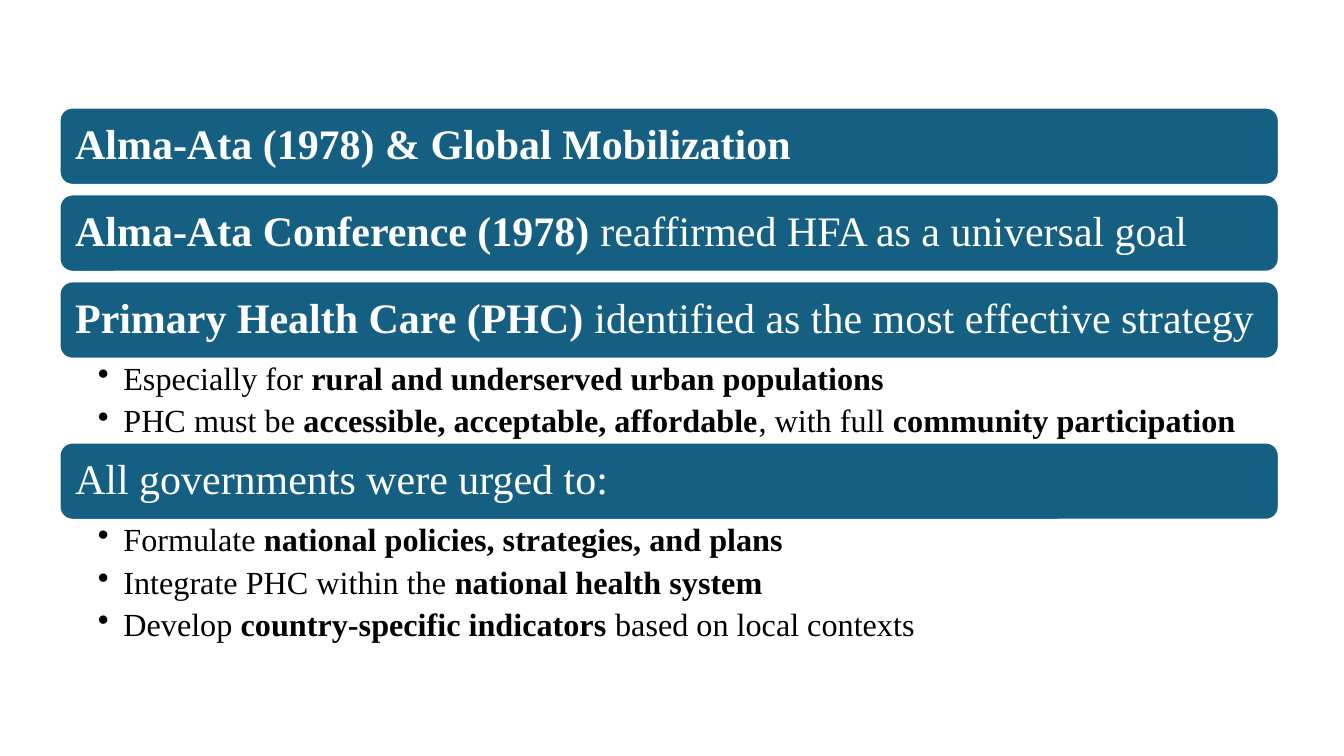
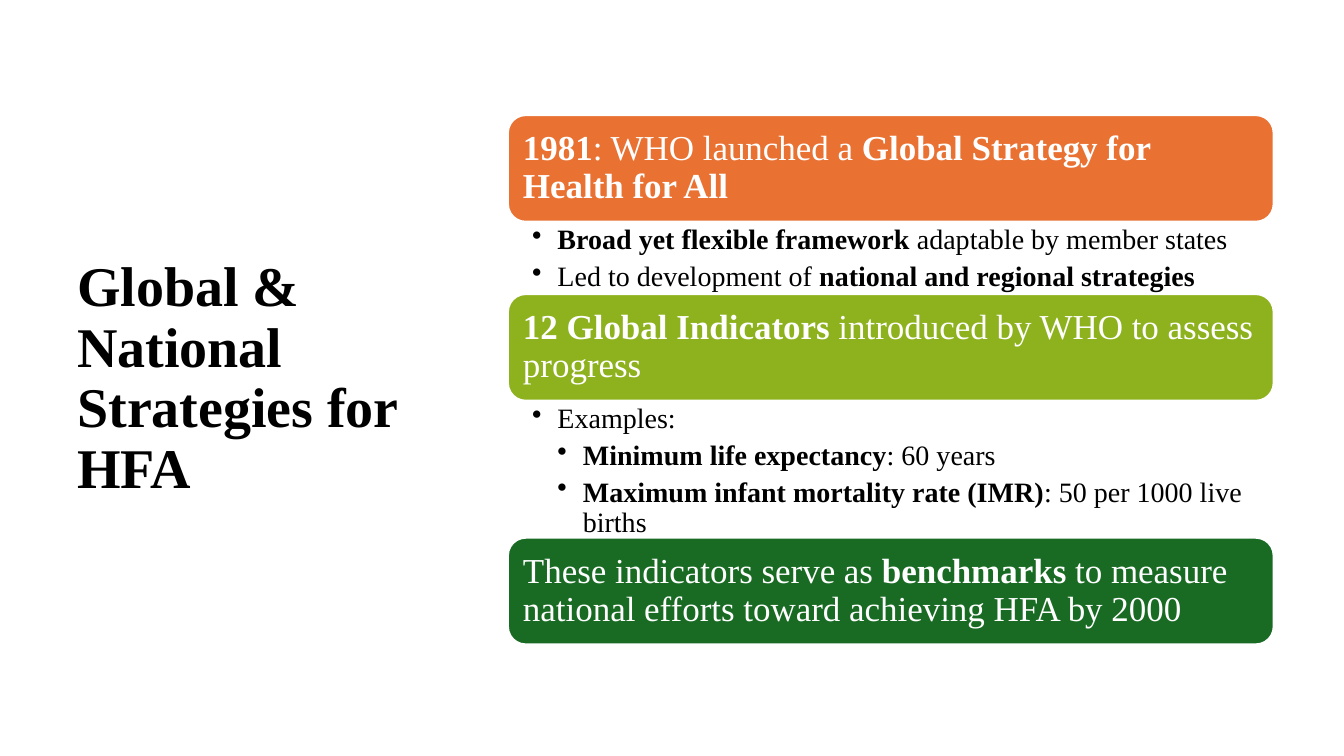
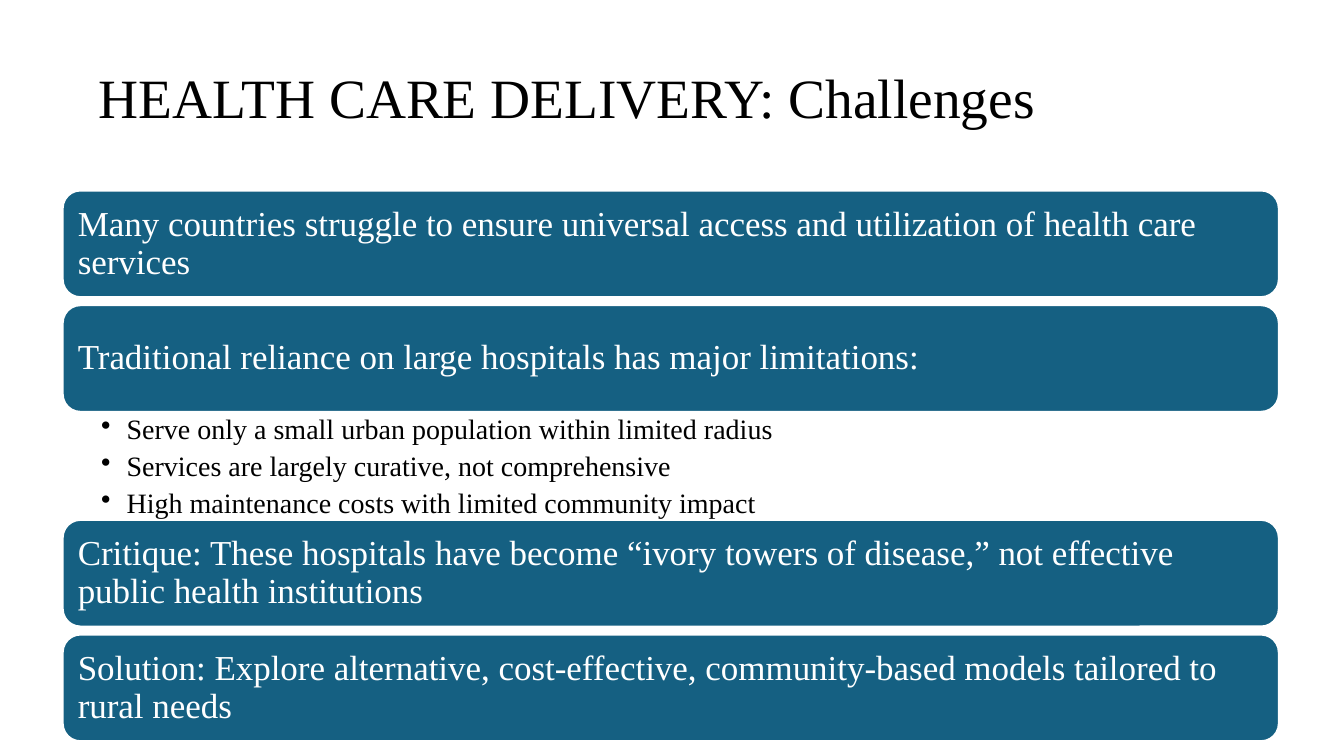
import pptx
import pptx.dml.color
import pptx.enum.shapes
import pptx.enum.text
import pptx.oxml.ns
import pptx.util
from lxml import etree

Cm = pptx.util.Cm
Pt = pptx.util.Pt


def color(hex_value):
    return pptx.dml.color.RGBColor.from_string(hex_value)


def set_all(target, values):
    for name, value in values.items():
        setattr(target, name, value)


class Deck:
    """Holds the shared style and the slide being built."""

    font = "Times New Roman"
    white, black = "FFFFFF", "000000"
    blue, orange, lime, green = "156082", "E97132", "8EB21E", "196B24"
    title_only, blank = 5, 6
    bullet_step = 0.64

    def __init__(self):
        self.presentation = pptx.Presentation()
        set_all(self.presentation, {"slide_width": Cm(33.87), "slide_height": Cm(19.05)})
        self.slide = None

    def add_slide(self, layout):
        self.slide = self.presentation.slides.add_slide(
            self.presentation.slide_layouts[layout])

    def format_frame(self, frame, anchor, insets):
        left, top, right, bottom = insets
        set_all(frame, {
            "word_wrap": True,
            "auto_size": pptx.enum.text.MSO_AUTO_SIZE.NONE,
            "vertical_anchor": anchor,
            "margin_left": Cm(left), "margin_top": Cm(top),
            "margin_right": Cm(right), "margin_bottom": Cm(bottom),
        })

    def add_text(self, paragraph, text, size, text_color, bold=False):
        """Fill a paragraph with text in which ** switches bold on and off."""
        set_all(paragraph, {"alignment": pptx.enum.text.PP_ALIGN.LEFT, "line_spacing": 0.9})
        for index, part in enumerate(text.split("**")):
            if part:
                run = paragraph.add_run()
                run.text = part
                set_all(run.font, {"name": self.font, "size": Pt(size),
                                   "bold": bold or index % 2 == 1})
                run.font.color.rgb = color(text_color)

    def title(self, text, box, size, bold=False):
        shape = self.slide.shapes.title
        left, top, width, height = box
        set_all(shape, {"left": Cm(left), "top": Cm(top),
                        "width": Cm(width), "height": Cm(height)})
        self.format_frame(shape.text_frame, pptx.enum.text.MSO_ANCHOR.MIDDLE,
                          (0.25, 0.13, 0.25, 0.13))
        self.add_text(shape.text_frame.paragraphs[0], text, size, self.black, bold)

    def band(self, text, box, size, inset, fill):
        shape = self.slide.shapes.add_shape(
            pptx.enum.shapes.MSO_SHAPE.ROUNDED_RECTANGLE, *map(Cm, box))
        shape.shadow.inherit = False
        shape.fill.solid()
        shape.fill.fore_color.rgb = color(fill)
        shape.line.color.rgb = color(self.white)
        shape.line.width = Pt(1.5)
        self.format_frame(shape.text_frame, pptx.enum.text.MSO_ANCHOR.MIDDLE, [inset] * 4)
        self.add_text(shape.text_frame.paragraphs[0], text, size, self.white)

    def bullets(self, items, box, size, insets):
        """Add a list; an item that starts with > goes one level deeper."""
        frame = self.slide.shapes.add_textbox(*map(Cm, box)).text_frame
        self.format_frame(frame, pptx.enum.text.MSO_ANCHOR.TOP, insets)
        for index, item in enumerate(items):
            paragraph = frame.add_paragraph() if index else frame.paragraphs[0]
            depth = 2 if item.startswith(">") else 1
            properties = paragraph._p.get_or_add_pPr()
            properties.set("marL", str(Cm(self.bullet_step * depth)))
            properties.set("indent", str(-Cm(self.bullet_step)))
            bullet = etree.SubElement(properties, pptx.oxml.ns.qn("a:buChar"))
            bullet.set("char", "•")
            paragraph.space_after = Pt(round(size * 0.24, 1))
            self.add_text(paragraph, item.lstrip(">"), size, self.black)

    def stack(self, parts, left, top, width, band, bullets, gap):
        """Stack bands (text, fill) and lists (items, height) downwards."""
        after_band = False
        for content, detail in parts:
            is_band = isinstance(content, str)
            if is_band:
                top += gap if after_band else 0
                height = band["height"]
                self.band(content, (left, top, width, height),
                          band["size"], band["inset"], detail)
            else:
                height = detail
                self.bullets(content, (left, top, width, height), **bullets)
            top += height
            after_band = is_band


def main():
    deck = Deck()
    tall_band = {"height": 2.69, "size": 25, "inset": 0.25}

    # Alma-Ata
    deck.add_slide(deck.blank)
    deck.stack(
        [
            ("**Alma-Ata (1978) & Global Mobilization**", deck.blue),
            ("**Alma-Ata Conference (1978)** reaffirmed HFA as a universal goal", deck.blue),
            ("**Primary Health Care (PHC)** identified as the most effective strategy",
             deck.blue),
            (["Especially for **rural and underserved urban populations**",
              "PHC must be **accessible, acceptable, affordable**, with full "
              "**community participation**"], 2.11),
            ("All governments were urged to:", deck.blue),
            (["Formulate **national policies, strategies, and plans**",
              "Integrate PHC within the **national health system**",
              "Develop **country-specific indicators** based on local contexts"], 3.1),
        ],
        left=1.5, top=2.71, width=30.73, gap=0.24,
        band={"height": 1.95, "size": 30, "inset": 0.3},
        bullets={"size": 23, "insets": (0.97, 0.1, 0.58, 0.1)})

    # Strategies
    deck.add_slide(deck.title_only)
    deck.title("Global & National Strategies for HFA", (1.7, 1.52, 9.7, 16.08), 40, bold=True)
    deck.stack(
        [
            ("**1981**: WHO launched a **Global Strategy for Health for All**", deck.orange),
            (["**Broad yet flexible framework** adaptable by member states",
              "Led to development of **national and regional strategies**"], 1.82),
            ("**12 Global Indicators** introduced by WHO to assess progress", deck.lime),
            (["Examples:",
              ">**Minimum life expectancy**: 60 years",
              ">**Maximum infant mortality rate (IMR)**: 50 per 1000 live births"], 3.45),
            ("These indicators serve as **benchmarks** to measure national efforts "
             "toward achieving HFA by 2000", deck.green),
        ],
        left=12.8, top=2.9, width=19.3, gap=0.2, band=tall_band,
        bullets={"size": 20, "insets": (0.61, 0.08, 0.48, 0.08)})

    # Challenges
    deck.add_slide(deck.title_only)
    deck.title("HEALTH CARE DELIVERY: Challenges", (2.24, 0.89, 25.43, 3.3), 39.6)
    deck.stack(
        [
            ("Many countries struggle to ensure universal access and utilization of "
             "health care services", deck.blue),
            ("Traditional reliance on large hospitals has major limitations:", deck.blue),
            (["Serve only a small urban population within limited radius",
              "Services are largely curative, not comprehensive",
              "High maintenance costs with limited community impact"], 2.72),
            ("Critique: These hospitals have become “ivory towers of disease,” not "
             "effective public health institutions", deck.blue),
            ("Solution: Explore alternative, cost-effective, community-based models "
             "tailored to rural needs", deck.blue),
        ],
        left=1.58, top=4.8, width=30.65, gap=0.2, band=tall_band,
        bullets={"size": 20, "insets": (0.97, 0.08, 0.48, 0.08)})

    deck.presentation.save("out.pptx")


if __name__ == "__main__":
    main()
